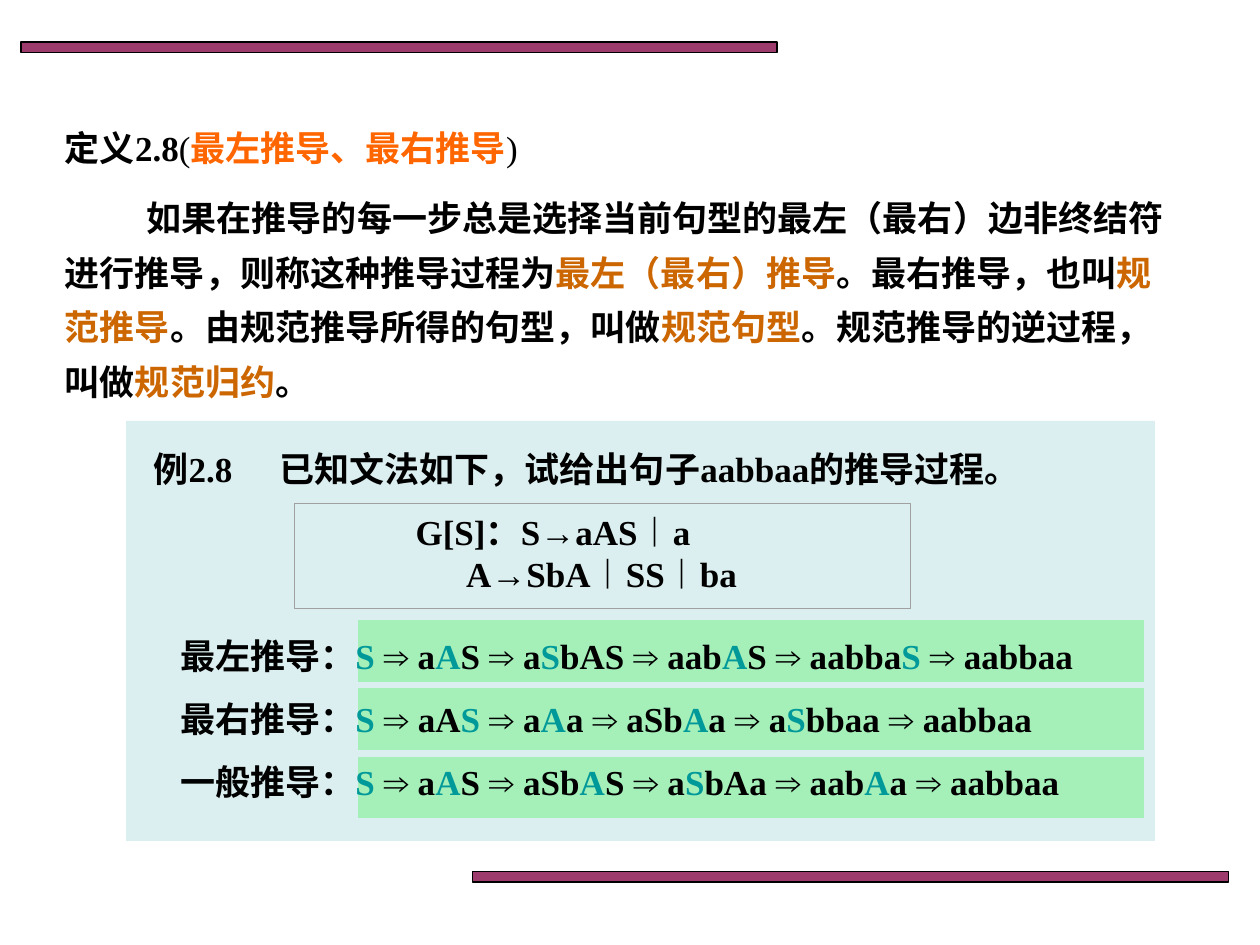
from pptx import Presentation
from pptx.dml.color import RGBColor as RGB
from pptx.enum.shapes import MSO_SHAPE as Shape
from pptx.enum.text import MSO_ANCHOR as Anchor, PP_ALIGN as Align
from pptx.oxml.ns import qn
from pptx.util import Pt
from lxml.etree import SubElement as Sub

BLACK = RGB(0, 0, 0)
WHITE = RGB(255, 255, 255)
PLUM = RGB(0x99, 0x33, 0x66)
GREEN = RGB(0, 255, 0)
PALE = RGB(0xBB, 0xE0, 0xE3)
GRAY = RGB(0xA0, 0xA0, 0xA0)
BROWN = RGB(0xCC, 0x66, 0)
ORANGE = RGB(0xFF, 0x66, 0)
TEAL = RGB(0, 0x99, 0x99)


def add_rect(slide, x, y, w, h, fill=None, alpha=100, line=None, width=0.75):
    rect = slide.shapes.add_shape(Shape.RECTANGLE, Pt(x), Pt(y), Pt(w), Pt(h))
    rect.shadow.inherit = False
    if fill is None:
        rect.fill.background()
    else:
        rect.fill.solid()
        rect.fill.fore_color.rgb = fill
        color = rect.fill._xPr.find(qn("a:solidFill"))[0]
        Sub(color, qn("a:alpha")).set("val", str(alpha * 1000))
    if line is None:
        rect.line.fill.background()
    else:
        rect.line.color.rgb = line
        rect.line.width = Pt(width)


def add_text(slide, x, y, w, h, paras, mark=BLACK, align=Align.LEFT,
             space=1.0, indents=(0,), tab=None, plain=()):
    """Stars in a paragraph switch the mark colour on and off."""
    box = slide.shapes.add_textbox(Pt(x), Pt(y), Pt(w), Pt(h))
    frame = box.text_frame
    frame.word_wrap = True
    frame.vertical_anchor = Anchor.TOP
    for i, text in enumerate(paras):
        para = frame.paragraphs[0] if i == 0 else frame.add_paragraph()
        para.alignment = align
        para.line_spacing = space
        props = para._p.get_or_add_pPr()
        props.set("indent", str(Pt(indents[i % len(indents)])))
        if tab:
            stop = Sub(Sub(props, qn("a:tabLst")), qn("a:tab"))
            stop.set("pos", str(Pt(tab)))
            stop.set("algn", "l")
        for j, part in enumerate(text.split("*")):
            if not part:
                continue
            # Brackets listed as plain are split off and set light
            cut = len(part) - 1 if part[-1] in plain else len(part)
            for piece in filter(None, (part[:cut], part[cut:])):
                run = para.add_run()
                run.text = piece
                font = run.font
                font.name = "Times New Roman"
                font.size = Pt(20)
                font.bold = piece not in plain
                font.color.rgb = mark if j % 2 else BLACK


def add_bars(slide, x, y, w, h):
    # Top left and bottom right rules
    bar_w, bar_h = 432, 6
    for left, top in ((x, y), (x + w - bar_w, y + h - bar_h)):
        add_rect(slide, left, top, bar_w, bar_h, PLUM, 96, BLACK)


def add_term(slide, x, y, w, h):
    # Heading and body of the definition
    add_text(slide, x, y, 342, 31, ["定义2.8(*最左推导、最右推导*)"],
             mark=ORANGE, plain=("(", ")"))
    body = ("如果在推导的每一步总是选择当前句型的最左（最右）边非终结符进行推导，"
            "则称这种推导过程为*最左（最右）推导*。最右推导，也叫*规范推导*。"
            "由规范推导所得的句型，叫做*规范句型*。规范推导的逆过程，"
            "叫做*规范归约*。")
    add_text(slide, x, y + 33, w, h - 33, [body], mark=BROWN, space=1.3,
             indents=(46.8,))


def add_sample(slide, x, y, w, h):
    # Green bands lie under the see-through panel
    for i in range(3):
        add_rect(slide, x + 132, y + 113.5 + 39 * i, 450, 36, GREEN, 44, WHITE)
    add_rect(slide, x, y, w, h, PALE, 50)

    # Question
    add_text(slide, x + 8.6, y + 11.5, 574, 31,
             ["例2.8\t已知文法如下，试给出句子aabbaa的推导过程。"],
             align=Align.JUSTIFY, tab=64.7)

    # Grammar in its frame
    add_text(slide, x + 103.7, y + 47.5, 337, 60,
             ["G[S]：S→aAS︱a", "A→SbA︱SS︱ba"],
             align=Align.JUSTIFY, indents=(54.7, 83.5))
    add_rect(slide, x + 96, y + 47, 352.5, 60.5, line=GRAY, width=0.5)

    # Three derivations
    add_text(slide, x + 23.8, y + 106.5, 554.4, 115, [
        "最左推导：*S* ⇒ a*A*S ⇒ a*S*bAS ⇒ aab*A*S ⇒ aabba*S *⇒ aabbaa",
        "最右推导：*S *⇒ aA*S *⇒ a*A*a ⇒ aSb*A*a ⇒ a*S*bbaa ⇒ aabbaa",
        "一般推导：*S* ⇒ a*A*S ⇒ aSb*A*S ⇒ a*S*bAa ⇒ aab*A*a ⇒ aabbaa",
    ], mark=TEAL, align=Align.JUSTIFY, space=1.5)


def main():
    deck = Presentation()
    deck.slide_width, deck.slide_height = Pt(720), Pt(540)
    slide = deck.slides.add_slide(deck.slide_layouts[6])
    add_bars(slide, 12, 24, 690, 480)
    add_term(slide, 30, 68.5, 648, 165.5)
    add_sample(slide, 72, 240.5, 588, 240)
    deck.save("out.pptx")


if __name__ == "__main__":
    main()
